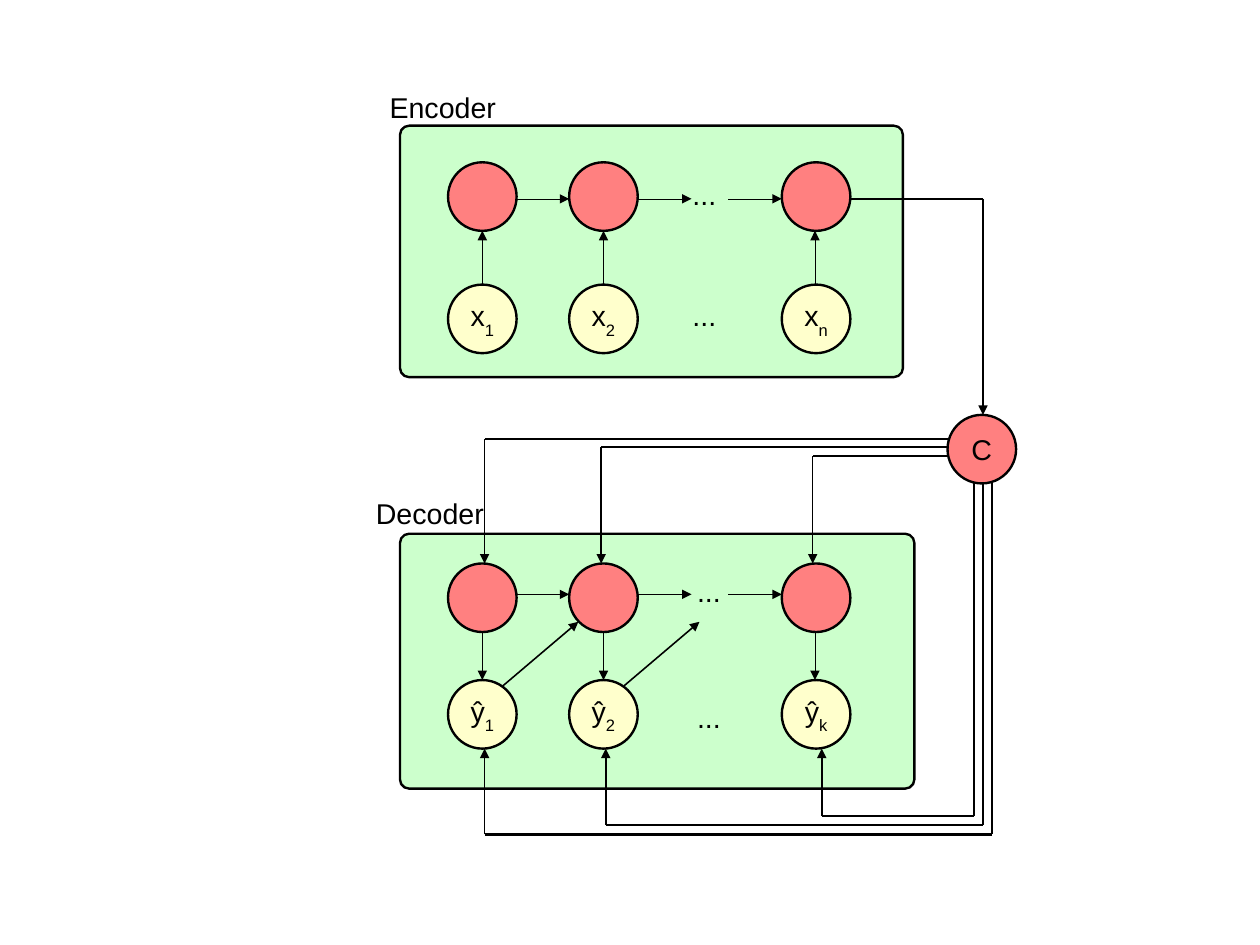
from dataclasses import dataclass

import pptx
import pptx.dml.color
import pptx.enum.shapes
import pptx.enum.text
import pptx.oxml.ns
import pptx.shapes.autoshape
import pptx.slide
import pptx.text.text
import pptx.util
from lxml import etree

Inches = pptx.util.Inches
Point = tuple[float, float]


@dataclass(frozen=True)
class Theme:
    font: str = "Arial"
    text_size: float = 18
    ink: str = "000000"
    panel: str = "CCFFCC"
    state: str = "FF8080"
    token: str = "FFFFCC"
    hairline: float = 0
    thin: float = 1
    thick: float = 1.5


@dataclass(frozen=True)
class Panel:
    left: float
    top: float
    width: float
    height: float


@dataclass(frozen=True)
class Node:
    left: float
    top: float
    fill: str
    letter: str = ""
    subscript: str = ""


@dataclass(frozen=True)
class Route:
    points: tuple[Point, ...]
    trunk_width: float
    arrow_width: float


@dataclass(frozen=True)
class Label:
    left: float
    top: float
    width: float
    text: str


THEME = Theme()
CENTIMETRES_PER_INCH = 2.54
SLIDE_WIDTH = Inches(28 / CENTIMETRES_PER_INCH)
SLIDE_HEIGHT = Inches(21 / CENTIMETRES_PER_INCH)
NODE_SIZE = 0.6
COLUMNS = (3.92, 4.98, 6.84)
CENTRES = (4.22, 5.28, 7.13)
LABEL_HEIGHT = 0.38

PANELS = (Panel(3.5, 1.1, 4.4, 2.2), Panel(3.5, 4.67, 4.5, 2.23))

LABELS = (
    Label(3.31, 0.74, 1.19, "Encoder"),
    Label(3.19, 4.29, 1.21, "Decoder"),
    Label(5.96, 1.5, 0.48, "..."),
    Label(5.96, 2.56, 0.48, "..."),
    Label(6, 4.97, 0.48, "..."),
    Label(6, 6.07, 0.48, "..."),
)


def make_nodes() -> list[Node]:
    nodes = [Node(8.29, 3.63, THEME.state, "C")]
    for left, source, target in zip(COLUMNS, "12n", "12k"):
        nodes += [
            Node(left, 1.42, THEME.state),
            Node(left, 2.49, THEME.token, "x", source),
            Node(left, 4.93, THEME.state),
            Node(left, 5.95, THEME.token, "ŷ", target),
        ]
    return nodes


def make_routes() -> list[Route]:
    hairlines = [((x, 2.49), (x, 2.02)) for x in CENTRES]
    hairlines += [((x, 5.53), (x, 5.95)) for x in CENTRES]
    hairlines += [
        ((start, y), (end, y))
        for y in (1.74, 5.2)
        for start, end in ((4.52, 4.98), (5.58, 6.05), (6.37, 6.84))
    ]
    routes = [Route(points, THEME.hairline, THEME.hairline) for points in hairlines]
    for x in (4.4, 5.46):
        routes.append(Route(((x, 6), (x + 0.66, 5.44)), THEME.thin, THEME.thin))

    context_to_states = zip((4.24, 5.26, 7.11), (3.84, 3.91, 3.99))
    for x, y in context_to_states:
        routes.append(Route(((8.29, y), (x, y), (x, 4.93)), THEME.thick, THEME.thin))
    for index, x in enumerate((4.24, 5.3, 7.19)):
        trunk, y = 8.68 - 0.08 * index, 7.3 - 0.08 * index
        points = ((trunk, 4.23), (trunk, y), (x, y), (x, 6.55))
        routes.append(Route(points, THEME.thick, THEME.thin))

    encoder_to_context = ((7.44, 1.74), (8.6, 1.74), (8.6, 3.63))
    routes.append(Route(encoder_to_context, THEME.thick, THEME.thick))
    return routes


def color(value: str) -> pptx.dml.color.RGBColor:
    return pptx.dml.color.RGBColor.from_string(value)


def add_run(
    paragraph: pptx.text.text._Paragraph, text: str, subscript: bool = False
) -> None:
    run = paragraph.add_run()
    run.text = text
    run.font.name = THEME.font
    run.font.size = pptx.util.Pt(THEME.text_size)
    run.font.color.rgb = color(THEME.ink)
    if subscript:
        run.font._element.set("baseline", "-33000")


def style_shape(shape: pptx.shapes.autoshape.Shape, fill: str) -> None:
    shape.shadow.inherit = False
    shape.fill.solid()
    shape.fill.fore_color.rgb = color(fill)
    shape.line.color.rgb = color(THEME.ink)
    shape.line.width = pptx.util.Pt(THEME.thick)


def add_panel(slide: pptx.slide.Slide, panel: Panel) -> None:
    shape = slide.shapes.add_shape(
        pptx.enum.shapes.MSO_SHAPE.ROUNDED_RECTANGLE,
        Inches(panel.left), Inches(panel.top),
        Inches(panel.width), Inches(panel.height),
    )
    shape.adjustments[0] = 0.036
    style_shape(shape, THEME.panel)


def add_node(slide: pptx.slide.Slide, node: Node) -> None:
    shape = slide.shapes.add_shape(
        pptx.enum.shapes.MSO_SHAPE.OVAL,
        Inches(node.left), Inches(node.top), Inches(NODE_SIZE), Inches(NODE_SIZE),
    )
    style_shape(shape, node.fill)
    if not node.letter:
        return
    frame = shape.text_frame
    frame.word_wrap = False
    frame.vertical_anchor = pptx.enum.text.MSO_ANCHOR.MIDDLE
    frame.margin_left = frame.margin_right = Inches(0.11)
    frame.margin_top = frame.margin_bottom = Inches(0.06)
    paragraph = frame.paragraphs[0]
    paragraph.alignment = pptx.enum.text.PP_ALIGN.CENTER
    add_run(paragraph, node.letter)
    if node.subscript:
        add_run(paragraph, node.subscript, subscript=True)


def add_segment(
    slide: pptx.slide.Slide, start: Point, end: Point, width: float, arrow: bool
) -> None:
    connector = slide.shapes.add_connector(
        pptx.enum.shapes.MSO_CONNECTOR.STRAIGHT,
        Inches(start[0]), Inches(start[1]), Inches(end[0]), Inches(end[1]),
    )
    connector.line.color.rgb = color(THEME.ink)
    properties = connector._element.spPr
    line = properties.find(pptx.oxml.ns.qn("a:ln"))
    line.set("w", str(int(pptx.util.Pt(width))))
    if arrow:
        etree.SubElement(line, pptx.oxml.ns.qn("a:tailEnd"), type="triangle")
    etree.SubElement(properties, pptx.oxml.ns.qn("a:effectLst"))


def add_route(slide: pptx.slide.Slide, route: Route) -> None:
    *trunk, arrow = zip(route.points, route.points[1:])
    for start, end in trunk:
        add_segment(slide, start, end, route.trunk_width, arrow=False)
    add_segment(slide, *arrow, route.arrow_width, arrow=True)


def add_label(slide: pptx.slide.Slide, label: Label) -> None:
    box = slide.shapes.add_textbox(
        Inches(label.left), Inches(label.top),
        Inches(label.width), Inches(LABEL_HEIGHT),
    )
    box.text_frame.word_wrap = True
    add_run(box.text_frame.paragraphs[0], label.text)


def main() -> None:
    presentation = pptx.Presentation()
    presentation.slide_width, presentation.slide_height = SLIDE_WIDTH, SLIDE_HEIGHT
    slide = presentation.slides.add_slide(presentation.slide_layouts[6])
    for panel in PANELS:
        add_panel(slide, panel)
    for node in make_nodes():
        add_node(slide, node)
    for route in make_routes():
        add_route(slide, route)
    for label in LABELS:
        add_label(slide, label)
    presentation.save("out.pptx")


if __name__ == "__main__":
    main()
